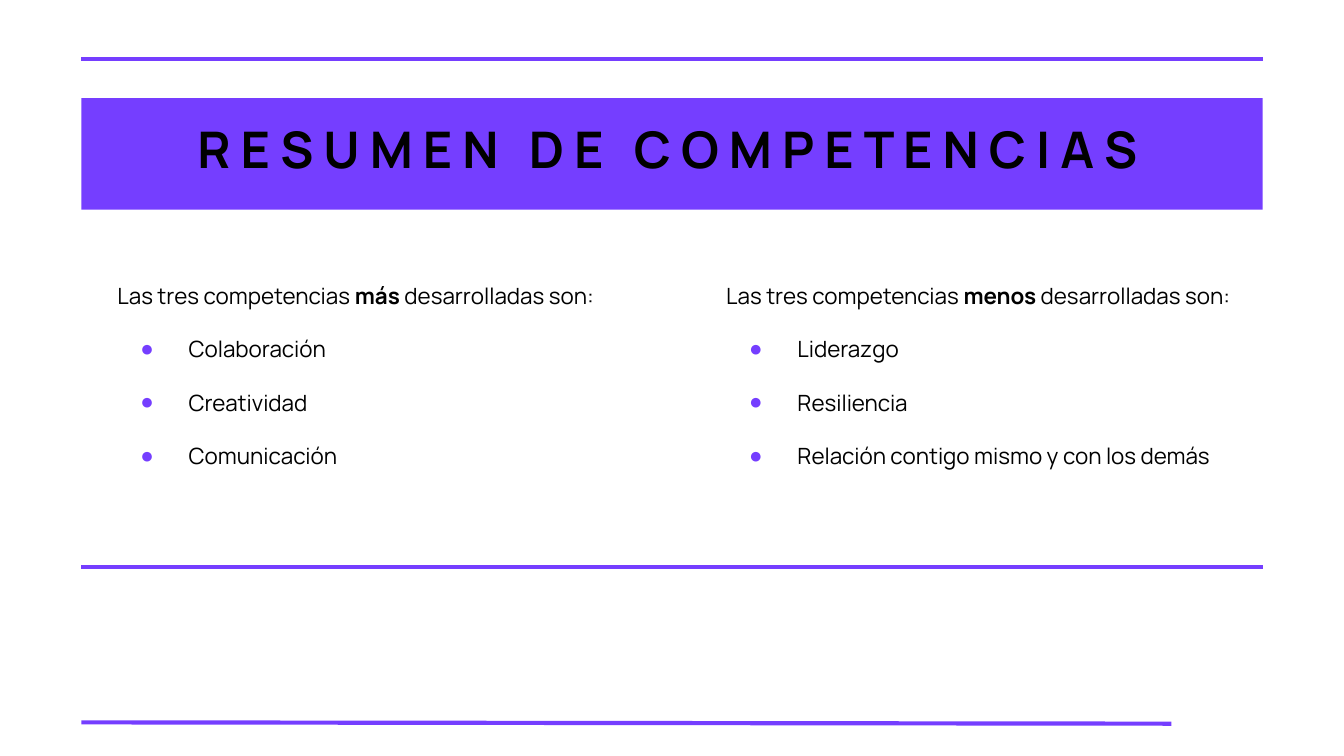
from lxml.etree import SubElement
from pptx import Presentation
from pptx.dml.color import RGBColor
from pptx.enum.shapes import MSO_CONNECTOR, MSO_SHAPE
from pptx.enum.text import MSO_AUTO_SIZE, PP_ALIGN
from pptx.oxml.ns import qn
from pptx.util import Emu, Pt

PX = 4572  # EMU per px, 200 px to the inch
FONT, BULLET_FONT = "Manrope", "Arial"
PURPLE, BLACK, WHITE = "753EFF", "000000", "FFFFFF"
LEFT, RIGHT = 121, 1879
BULLET_MARGIN, BULLET_HANG = 106, 72


def px(length):
    return Emu(length * PX)


def color(code):
    return RGBColor.from_string(code)


def add_rule(page, right, start_y, end_y):
    rule = page.shapes.add_connector(
        MSO_CONNECTOR.STRAIGHT, px(LEFT), px(start_y), px(right), px(end_y))
    rule.line.color.rgb = color(PURPLE)
    rule.line.width = Pt(2.25)
    SubElement(rule._element.spPr, qn("a:effectLst"))


def add_band(page, left, top, width, height):
    band = page.shapes.add_shape(
        MSO_SHAPE.RECTANGLE, px(left), px(top), px(width), px(height))
    band.shadow.inherit = False
    band.fill.solid()
    band.fill.fore_color.rgb = color(PURPLE)
    band.line.fill.background()


def add_box(page, left, top, width, height):
    box = page.shapes.add_textbox(px(left), px(top), px(width), px(height))
    frame = box.text_frame
    frame.word_wrap = True
    frame.auto_size = MSO_AUTO_SIZE.SHAPE_TO_FIT_TEXT
    frame.margin_left = frame.margin_right = px(20)
    frame.margin_top = frame.margin_bottom = px(20)
    return frame


def add_span(para, text, size, bold=False):
    span = para.add_run()
    span.text = text
    span.font.name = FONT
    span.font.size = Pt(size)
    span.font.bold = bold
    span.font.color.rgb = color(BLACK)


def add_bullet(para):
    props = para._p.get_or_add_pPr()
    props.set("marL", str(px(BULLET_MARGIN)))
    props.set("indent", str(-px(BULLET_HANG)))
    tint = SubElement(props, qn("a:buClr"))
    SubElement(tint, qn("a:srgbClr"), val=PURPLE)
    SubElement(props, qn("a:buFont"), typeface=BULLET_FONT)
    SubElement(props, qn("a:buChar"), char="●")


def add_title(page, text):
    para = add_box(page, 144, 156, 1714, 132).paragraphs[0]
    para.alignment = PP_ALIGN.CENTER
    # A space follows every letter
    add_span(para, "".join(letter + " " for letter in text), 27, bold=True)


def add_skills(page, left, degree, skills):
    frame = add_box(page, left, 394, 798, 330)
    intro = frame.paragraphs[0]
    intro.line_spacing = 1.15
    add_span(intro, "Las tres competencias ", 12)
    add_span(intro, degree, 12, bold=True)
    add_span(intro, " desarrolladas son:", 12)
    for skill in skills:
        para = frame.add_paragraph()
        add_bullet(para)
        para.line_spacing = 1.15
        para.space_before = Pt(12)
        add_span(para, skill, 12)


def main():
    deck = Presentation()
    deck.slide_width, deck.slide_height = px(2000), px(1125)
    page = deck.slides.add_slide(deck.slide_layouts[6])
    page.background.fill.solid()
    page.background.fill.fore_color.rgb = color(WHITE)

    # Title band under the top rule
    add_rule(page, RIGHT, 88, 88)
    add_band(page, LEFT, 146, RIGHT - LEFT, 166)
    add_title(page, "RESUMEN DE COMPETENCIAS")

    # Strongest and weakest skills
    add_skills(page, 155, "más",
               ["Colaboración", "Creatividad", "Comunicación"])
    add_skills(page, 1061, "menos",
               ["Liderazgo", "Resiliencia",
                "Relación contigo mismo y con los demás"])

    # Closing rules, the last one slightly tilted
    add_rule(page, RIGHT, 844, 844)
    add_rule(page, 1743, 1075, 1077)

    deck.save("out.pptx")


if __name__ == "__main__":
    main()
